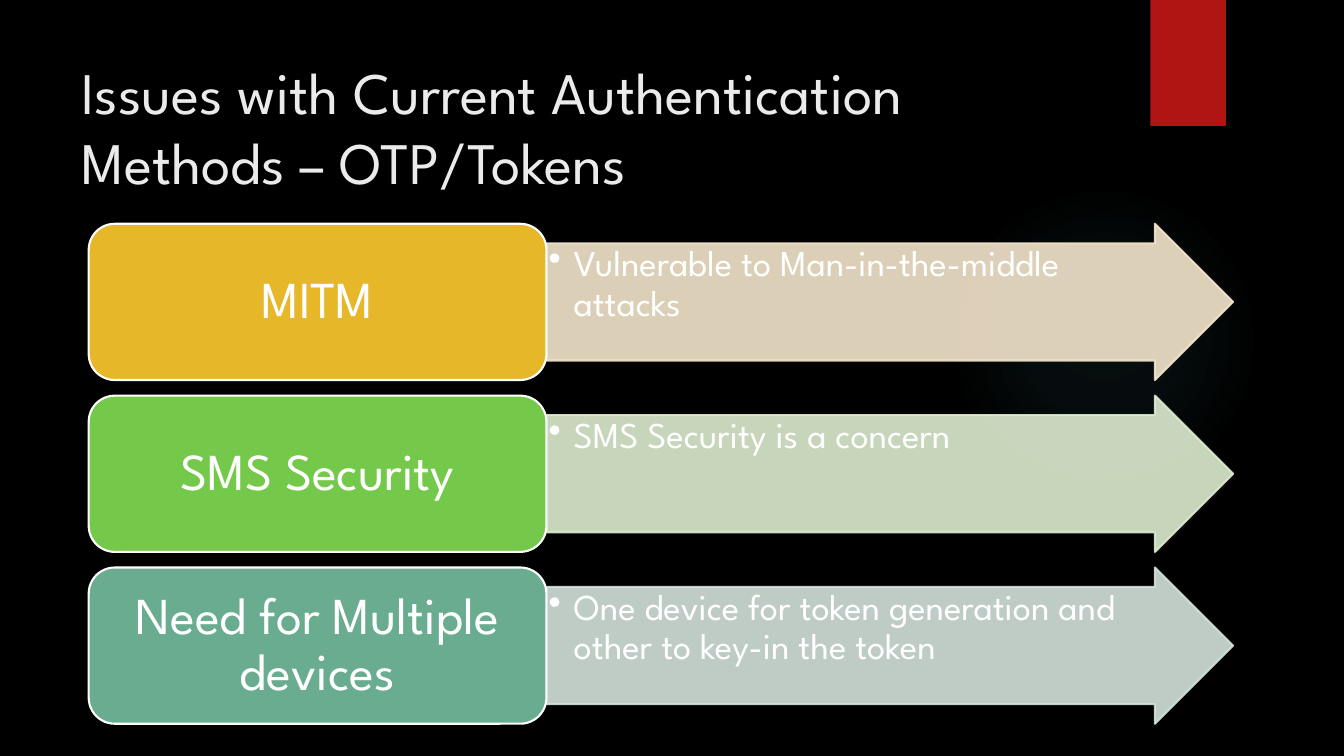
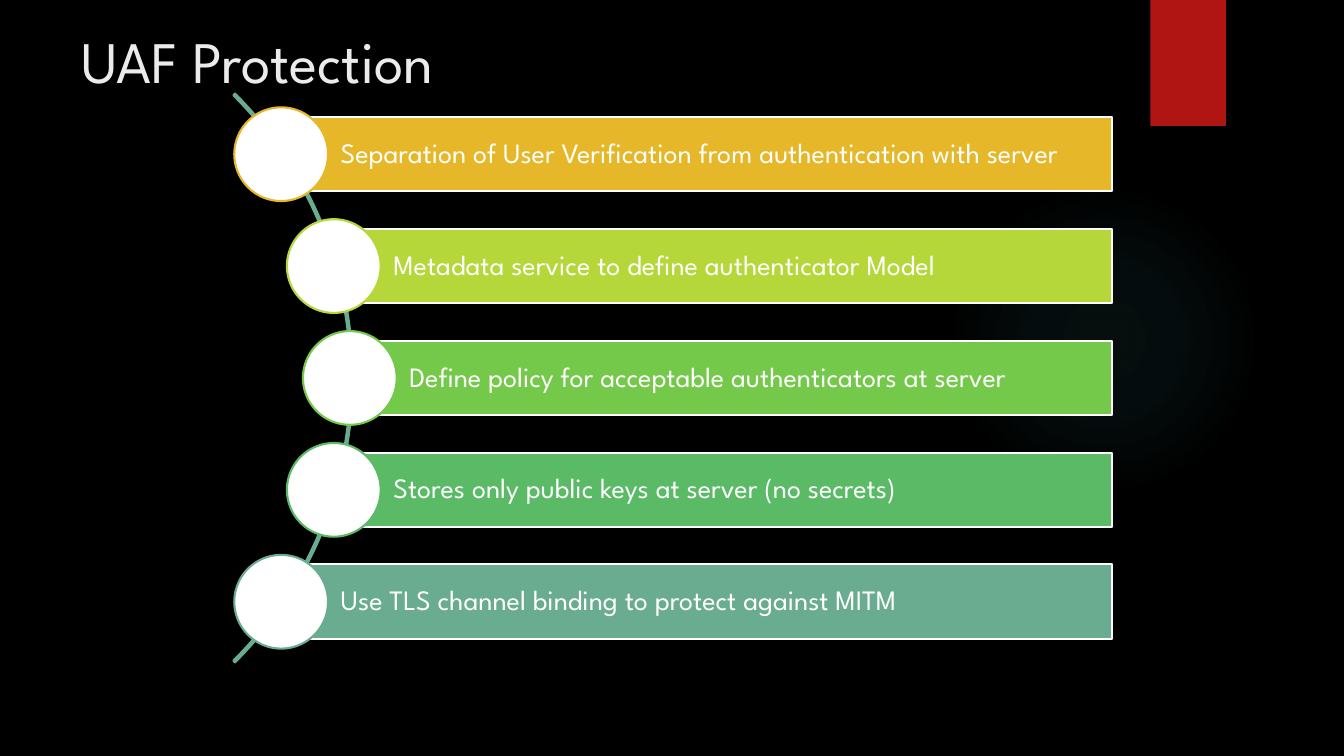
from dataclasses import dataclass
from math import sqrt
from typing import Any

from lxml.etree import SubElement
from pptx import Presentation
from pptx.dml.color import RGBColor
from pptx.enum.shapes import MSO_SHAPE as Preset
from pptx.enum.text import MSO_ANCHOR as Anchor, PP_ALIGN as Align
from pptx.oxml import parse_xml
from pptx.oxml.ns import nsdecls, qn
from pptx.shapes.autoshape import Shape
from pptx.slide import Slide
from pptx.util import Inches, Pt

FONT = "League Spartan"
BLACK = RGBColor(0x00, 0x00, 0x00)
WHITE = RGBColor(0xFF, 0xFF, 0xFF)
TITLE_GREY = RGBColor(0xEB, 0xEB, 0xEB)
RED = RGBColor(0xB0, 0x15, 0x13)
GLOW = RGBColor(0x50, 0xB9, 0xC1)
GOLD = RGBColor(0xE6, 0xB7, 0x29)
LIME = RGBColor(0xB6, 0xD7, 0x3A)
GREEN = RGBColor(0x75, 0xC9, 0x4A)
EMERALD = RGBColor(0x5A, 0xBA, 0x66)
TEAL = RGBColor(0x6A, 0xAC, 0x90)
PALE_GOLD = RGBColor(0xF5, 0xE6, 0xCD)
PALE_GREEN = RGBColor(0xDD, 0xED, 0xD0)
PALE_TEAL = RGBColor(0xD4, 0xE3, 0xDC)

LINE_WIDTH = Pt(1.5)
GLOW_STOPS = ((0, 7), (36, 6), (69, 0))  # position and opacity in percent


@dataclass(frozen=True)
class Box:
    left: float
    top: float
    width: float
    height: float

    def lengths(self) -> tuple[int, ...]:
        return tuple(Inches(v) for v in (self.left, self.top, self.width, self.height))


@dataclass(frozen=True)
class TextStyle:
    size: int
    color: RGBColor = WHITE
    insets: tuple[float, float, float, float] = (0.1, 0.05, 0.1, 0.05)
    anchor: Anchor = Anchor.MIDDLE
    align: Align = Align.LEFT
    line_spacing: float = 0.9


@dataclass(frozen=True)
class Issue:
    name: str
    detail: str
    color: RGBColor
    pale: RGBColor


@dataclass(frozen=True)
class Protection:
    text: str
    color: RGBColor


TITLE_STYLE = TextStyle(42, TITLE_GREY, anchor=Anchor.TOP, line_spacing=1.0)
NAME_STYLE = TextStyle(37, insets=(0.15, 0.08, 0.15, 0.08), align=Align.CENTER)
DETAIL_STYLE = TextStyle(26, insets=(0.02, 0.02, 0.41, 0.02), anchor=Anchor.TOP)
BAR_STYLE = TextStyle(20, insets=(0.59, 0.06, 0.06, 0.06))

ISSUES = (
    Issue("MITM", "Vulnerable to Man-in-the-middle attacks", GOLD, PALE_GOLD),
    Issue("SMS Security", "SMS Security is a concern", GREEN, PALE_GREEN),
    Issue("Need for Multiple devices",
          "One device for token generation and other to key-in the token", TEAL, PALE_TEAL),
)
PROTECTIONS = (
    Protection("Separation of User Verification from authentication with server", GOLD),
    Protection("Metadata service to define authenticator Model", LIME),
    Protection("Define policy for acceptable authenticators at server", GREEN),
    Protection("Stores only public keys at server (no secrets)", EMERALD),
    Protection("Use TLS channel binding to protect against MITM", TEAL),
)


def set_values(target: Any, values: dict[str, Any]) -> None:
    for name, value in values.items():
        setattr(target, name, value)


def write(shape: Shape, text: str, style: TextStyle) -> None:
    frame = shape.text_frame
    left, top, right, bottom = (Inches(inset) for inset in style.insets)
    set_values(frame, {
        "word_wrap": True, "vertical_anchor": style.anchor, "margin_left": left,
        "margin_top": top, "margin_right": right, "margin_bottom": bottom,
    })
    paragraph = frame.paragraphs[0]
    set_values(paragraph, {
        "text": text, "alignment": style.align, "line_spacing": style.line_spacing,
    })
    font = paragraph.runs[0].font
    set_values(font, {"name": FONT, "size": Pt(style.size)})
    font.color.rgb = style.color


def add_bullet(shape: Shape) -> None:
    properties = shape.text_frame.paragraphs[0]._p.get_or_add_pPr()
    properties.set("marL", str(Inches(0.25)))
    properties.set("indent", str(-Inches(0.25)))
    SubElement(properties, qn("a:buChar")).set("char", "•")


def add_shape(slide: Slide, preset: Preset, box: Box, fill: RGBColor | None,
              line: RGBColor | None = None, adjustments: tuple[float, ...] = ()) -> Shape:
    shape = slide.shapes.add_shape(preset, *box.lengths())
    shape.shadow.inherit = False
    for index, value in enumerate(adjustments):
        shape.adjustments[index] = value
    if fill is None:
        shape.fill.background()
    else:
        shape.fill.solid()
        shape.fill.fore_color.rgb = fill
    if line is None:
        shape.line.fill.background()
    else:
        shape.line.color.rgb = line
        shape.line.width = LINE_WIDTH
    return shape


def set_opacity(shape: Shape, percent: int) -> None:
    """Apply the opacity to both fill and line."""
    for color in shape._element.spPr.iter(qn("a:srgbClr")):
        SubElement(color, qn("a:alpha")).set("val", str(percent * 1000))


def add_glow(slide: Slide) -> None:
    glow = add_shape(slide, Preset.OVAL, Box(9.41, 1.83, 3.08, 3.08), None)
    stops = "".join(
        f'<a:gs pos="{position * 1000}"><a:srgbClr val="{GLOW}">'
        f'<a:alpha val="{opacity * 1000}"/></a:srgbClr></a:gs>'
        for position, opacity in GLOW_STOPS
    )
    gradient = parse_xml(
        f'<a:gradFill {nsdecls("a")}><a:gsLst>{stops}</a:gsLst><a:path path="circle">'
        '<a:fillToRect l="50000" t="50000" r="50000" b="50000"/></a:path></a:gradFill>'
    )
    properties = glow._element.spPr
    properties.replace(properties.find(qn("a:noFill")), gradient)


def add_base_slide(presentation: Presentation, title: str, title_top: float) -> Slide:
    """Add a slide with the shared background, glow, red tab and title."""
    slide = presentation.slides.add_slide(presentation.slide_layouts[6])
    slide.background.fill.solid()
    slide.background.fill.fore_color.rgb = BLACK
    add_glow(slide)
    add_shape(slide, Preset.RECTANGLE, Box(11.41, 0, 0.75, 1.25), RED)
    title_box = slide.shapes.add_textbox(*Box(0.71, title_top, 10.29, 1.53).lengths())
    write(title_box, title, TITLE_STYLE)
    return slide


def add_issues(slide: Slide) -> None:
    left, first_top, height = 0.88, 2.22, 1.55
    name_width, arrow_width = 4.54, 6.81
    for row, issue in enumerate(ISSUES):
        top = first_top + row * height * 1.1
        arrow = add_shape(slide, Preset.RIGHT_ARROW,
                          Box(left + name_width, top, arrow_width, height),
                          issue.pale, issue.pale, (0.75, 0.5))
        set_opacity(arrow, 90)
        write(arrow, issue.detail, DETAIL_STYLE)
        add_bullet(arrow)
        name = add_shape(slide, Preset.ROUNDED_RECTANGLE, Box(left, top, name_width, height),
                         issue.color, WHITE)
        write(name, issue.name, NAME_STYLE)


def add_protections(slide: Slide) -> None:
    """Place the circles along an arc, each with a bar running to a common right edge."""
    center_x, center_y, arc_size, path_radius = -0.49, 3.75, 7.98, 3.96
    pitch, bar_height, bar_right, circle_size = 1.11, 0.74, 11.03, 0.93
    add_shape(slide, Preset.BLOCK_ARC,
              Box(center_x - arc_size / 2, center_y - arc_size / 2, arc_size, arc_size),
              None, TEAL, (189, 27, 0.003))
    middle_row = (len(PROTECTIONS) - 1) / 2
    for row, protection in enumerate(PROTECTIONS):
        offset = (row - middle_row) * pitch
        x = center_x + sqrt(path_radius ** 2 - offset ** 2)
        y = center_y + offset
        bar = add_shape(slide, Preset.RECTANGLE,
                        Box(x, y - bar_height / 2, bar_right - x, bar_height),
                        protection.color, WHITE)
        write(bar, protection.text, BAR_STYLE)
        add_shape(slide, Preset.OVAL,
                  Box(x - circle_size / 2, y - circle_size / 2, circle_size, circle_size),
                  WHITE, protection.color)


def main() -> None:
    presentation = Presentation()
    set_values(presentation, {"slide_width": Inches(13.33), "slide_height": Inches(7.5)})
    add_issues(add_base_slide(
        presentation, "Issues with Current Authentication Methods – OTP/Tokens", 0.5))
    add_protections(add_base_slide(presentation, "UAF Protection", 0.2))
    presentation.save("out.pptx")


if __name__ == "__main__":
    main()
